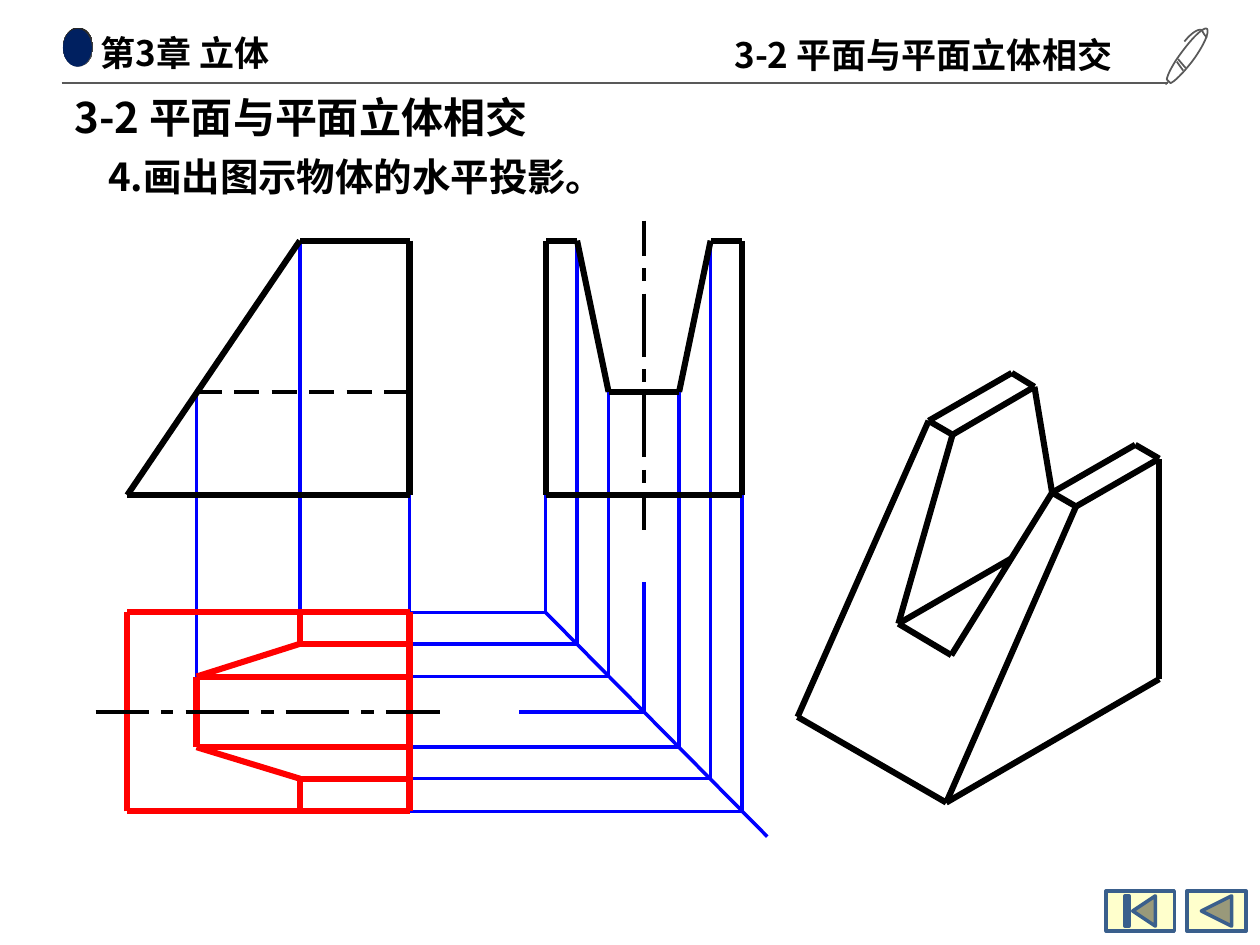
from dataclasses import dataclass
from itertools import pairwise
from lxml.etree import SubElement
from pptx import Presentation
from pptx.dml.color import RGBColor
from pptx.enum.shapes import MSO_CONNECTOR, MSO_SHAPE
from pptx.enum.text import MSO_ANCHOR, PP_ALIGN
from pptx.oxml.ns import qn
from pptx.util import Emu, Inches, Pt

CELL = Inches(0.1)


@dataclass(frozen=True)
class Theme:
    font: str = "Noto Sans CJK SC"
    ink: str = "000000"
    guide: str = "0000FF"
    answer: str = "FF0000"
    grey: str = "595959"
    dark_grey: str = "262626"
    navy: str = "002060"
    button: str = "FFFFCC"
    button_edge: str = "3A5F8C"
    title: int = 24
    task: int = 22
    header: int = 20
    thick: float = 3.5
    hairline: float = 0


@dataclass(frozen=True)
class Box:
    left: float
    top: float
    width: float
    height: float

    def at(self, x, y):
        return Emu(round((self.left + x) * CELL)), Emu(round((self.top + y) * CELL))

    def frame(self):
        return *self.at(0, 0), Emu(round(self.width * CELL)), Emu(round(self.height * CELL))

    def inner(self, x, y, width, height):
        return Box(self.left + x, self.top + y, width, height)


THEME = Theme()


def rgb(color):
    return RGBColor.from_string(color)


def set_line(line, color, width):
    line.color.rgb = rgb(color)
    line.width = Pt(width)


def add_strokes(page, box, paths, color=THEME.ink, width=THEME.thick):
    for path in paths:
        for start, end in pairwise(path):
            stroke = page.shapes.add_connector(MSO_CONNECTOR.STRAIGHT, *box.at(*start), *box.at(*end))
            set_line(stroke.line, color, width)
            SubElement(stroke._element.spPr, qn("a:effectLst"))


def dash_spans(start, lengths, gap):
    for length in lengths:
        yield start, start + length
        start += length + gap


def add_preset(page, box, kind):
    shape = page.shapes.add_shape(kind, *box.frame())
    shape.shadow.inherit = False
    shape.line.fill.background()
    return shape


def write_text(holder, text, size, side=0.1, indent=0, align=PP_ALIGN.LEFT):
    frame = holder.text_frame
    layout = {"word_wrap": True, "vertical_anchor": MSO_ANCHOR.MIDDLE,
              "margin_left": Inches(side), "margin_right": Inches(side),
              "margin_top": Inches(0.04), "margin_bottom": Inches(0.04)}
    for name, value in layout.items():
        setattr(frame, name, value)
    para = frame.paragraphs[0]
    para.alignment = align
    para._p.get_or_add_pPr().set("marL", str(Inches(indent)))
    span = para.add_run()
    span.text = text
    for name, value in {"name": THEME.font, "size": Pt(size), "bold": True}.items():
        setattr(span.font, name, value)
    span.font.color.rgb = rgb(THEME.ink)
    SubElement(span._r.get_or_add_rPr(), qn("a:ea")).set("typeface", THEME.font)


def add_text(page, box, text, size, **options):
    write_text(page.shapes.add_textbox(*box.frame()), text, size, **options)


def curve_points(box, start, control_a, control_b, end, steps=12):
    for step in range(1, steps + 1):
        t = step / steps
        weights = ((1 - t) ** 3, 3 * t * (1 - t) ** 2, 3 * t * t * (1 - t), t ** 3)
        corners = (start, control_a, control_b, end)
        yield box.at(*(sum(w * corner[axis] for w, corner in zip(weights, corners))
                       for axis in (0, 1)))


def add_pen(page, box):
    barrel = [((3.3, 0.2), (3.1, 0), (2.3, 0.7), (1.4, 1.9)),
              ((1.4, 1.9), (0.7, 2.8), (0.2, 3.7), (0.1, 4.2))]
    edge = [((0.4, 4.5), (0.7, 4.4), (1.4, 3.7), (2.1, 2.8)),
            ((2.1, 2.8), (3, 1.6), (3.5, 0.5), (3.3, 0.2))]
    clip = [((3.3, 0.9), (3.3, 0.9), (3, 0.6), (2.9, 0.3)),
            ((2.9, 0.3), (2.9, 0.3), (2.5, 0), (1.5, 1.2))]
    builder = page.shapes.build_freeform(*box.at(1.4, 3.5), scale=1.0)
    builder.add_line_segments([box.at(0.9, 2.8)], close=False)
    for start, end in [((1, 2.6), (1.6, 3.3)), ((0.2, 4.4), (0, 4.6))]:
        builder.move_to(*box.at(*start))
        builder.add_line_segments([box.at(*end)], close=False)
    for curves, closed in [(barrel + edge, True), (clip, False)]:
        builder.move_to(*box.at(*curves[0][0]))
        points = []
        for curve in curves:
            points += [box.at(*curve[0]), *curve_points(box, *curve)]
        builder.add_line_segments(points, close=closed)
    pen = builder.convert_to_shape()
    pen.shadow.inherit = False
    pen.fill.background()
    set_line(pen.line, THEME.grey, 1)


def add_header(page, box, chapter, section):
    rim = add_preset(page, box.inner(0.1, 0.1, 2.4, 3.1), MSO_SHAPE.OVAL)
    rim.fill.gradient()
    for stop, color in zip(rim.fill.gradient_stops, (THEME.grey, THEME.dark_grey)):
        stop.color.rgb = rgb(color)
    dot = add_preset(page, box.inner(0.1, 0.2, 2.3, 3), MSO_SHAPE.OVAL)
    dot.fill.solid()
    dot.fill.fore_color.rgb = rgb(THEME.navy)
    add_text(page, box.inner(2.4, 0, 37.2, 4.1), chapter, THEME.header, side=0.07)
    add_text(page, box.inner(52.4, 0, 33.1, 4.4), section, THEME.header)
    add_strokes(page, box, [[(0, 4.5), (87.8, 4.5)]], THEME.grey, 0.75)
    add_pen(page, box.inner(87.6, 0, 3.5, 4.7))


def add_heading(page, box, title, task):
    holder = page.shapes.title
    holder.left, holder.top, holder.width, holder.height = box.inner(0, 0, 82.9, 5).frame()
    write_text(holder, title, THEME.title)
    add_text(page, box.inner(0.2, 4.7, 92.4, 5), task, THEME.task,
             indent=0.25, align=PP_ALIGN.JUSTIFY)


def add_solid(page, box):
    left_foot, front_foot, right_foot = (0, 27.3), (11.8, 34.1), (28.7, 24.3)
    left_front, left_back = (10.4, 3.8), (17, 0)
    left_inner, left_rear = (12.3, 4.9), (18.8, 1.1)
    right_inner, right_front = (20.2, 9.5), (22.1, 10.6)
    right_back, right_rear = (26.8, 5.7), (28.7, 6.8)
    slot_left, slot_right, slot_rear = (8, 19.9), (12.2, 22.4), (17, 14.7)
    add_strokes(page, box, [
        [left_foot, front_foot, right_foot, right_rear, right_back,
         right_inner, right_front, right_rear],
        [right_front, front_foot],
        [left_foot, left_front, left_back, left_rear, left_inner, left_front],
        [left_inner, slot_left, slot_right, right_inner, left_rear],
        [slot_rear, slot_left]])


def add_guides(page, front, side, plan):
    edge = plan.left + plan.width - side.left
    fall = plan.top - side.top
    turns = [(0, 20.2, 0), (2.5, 0, 2.5), (5, 12, 5.1),
             (10.6, 12, 10.7), (13.1, 0, 13.2), (15.6, 20.2, 15.8)]
    rays = [[(x, top), (x, fall + depth), (edge, fall + depth)] for x, top, depth in turns]
    fold = [[(0, fall), (17.6, fall + 17.8)],
            [(7.8, 27.1), (7.8, fall + 7.9), (-2.1, fall + 7.9)]]
    drops = [[(13.7, 0), (13.7, 32)], [(5.5, 12), (5.5, 40.2)], [(22.4, 20.2), (22.4, fall)]]
    add_strokes(page, side, rays + fold, THEME.guide, THEME.hairline)
    add_strokes(page, front, drops, THEME.guide, THEME.hairline)


def add_plan_view(page, box):
    right, low = box.width, box.height
    add_strokes(page, box, [
        [(0, 0), (right, 0), (right, low), (0, low), (0, 0)],
        [(right, 5.1), (5.5, 5.1), (5.5, 10.7), (right, 10.7)],
        [(13.7, 0), (13.7, 2.5), (right, 2.5)],
        [(13.7, low), (13.7, 13.2), (right, 13.2)],
        [(5.5, 5.1), (13.7, 2.5)],
        [(5.5, 10.7), (13.7, 13.2)]], THEME.answer)
    axis = dash_spans(-2.5, (4.2, 1, 5, 1, 5, 1, 4.3), 0.97)
    add_strokes(page, box, [[(a, 7.9), (b, 7.9)] for a, b in axis], width=THEME.hairline)


def add_front_view(page, box):
    right, low = box.width, box.height
    add_strokes(page, box, [[(right, 0), (right, low), (0, low), (13.7, 0), (right, 0)]])
    hidden = dash_spans(5.5, (2,) * 6, 0.98)
    add_strokes(page, box, [[(a, 12), (b, 12)] for a, b in hidden], width=THEME.hairline)


def add_side_view(page, box):
    right, low = box.width, box.height
    add_strokes(page, box, [[(0, 0), (0, low), (right, low), (right, 0), (13.1, 0),
                             (10.6, 12), (5, 12), (2.5, 0), (0, 0)]])
    axis = dash_spans(-1.6, (2.8, 1, 5, 1, 5, 1, 2.8), 1)
    add_strokes(page, box, [[(7.8, a), (7.8, b)] for a, b in axis], width=THEME.hairline)


def add_buttons(page, box):
    for x, width, kind in [(0, 5.4, MSO_SHAPE.ACTION_BUTTON_BEGINNING),
                           (6.4, 4.7, MSO_SHAPE.ACTION_BUTTON_BACK_OR_PREVIOUS)]:
        button = add_preset(page, box.inner(x, 0, width, box.height), kind)
        button.fill.solid()
        button.fill.fore_color.rgb = rgb(THEME.button)
        set_line(button.line, THEME.button_edge, 2)


def main():
    deck = Presentation()
    deck.slide_width, deck.slide_height = 100 * CELL, 75 * CELL
    page = deck.slides.add_slide(deck.slide_layouts[5])
    section = "3-2 平面与平面立体相交"
    front, side, plan = Box(10.1, 19.1, 22.4, 20.2), Box(43.3, 19.1, 15.6, 20.2), Box(10.1, 48.6, 22.4, 15.8)
    add_header(page, Box(4.9, 2.1, 91.1, 4.7), "第3章 立体", section)
    add_heading(page, Box(4.9, 6.8, 92.6, 9.7), section, "4.画出图示物体的水平投影。")
    add_solid(page, Box(63.3, 29.6, 28.7, 34.1))
    add_guides(page, front, side, plan)
    add_plan_view(page, plan)
    add_front_view(page, front)
    add_side_view(page, side)
    add_buttons(page, Box(87.8, 70.7, 11.1, 3.2))
    deck.save("out.pptx")


if __name__ == "__main__":
    main()
